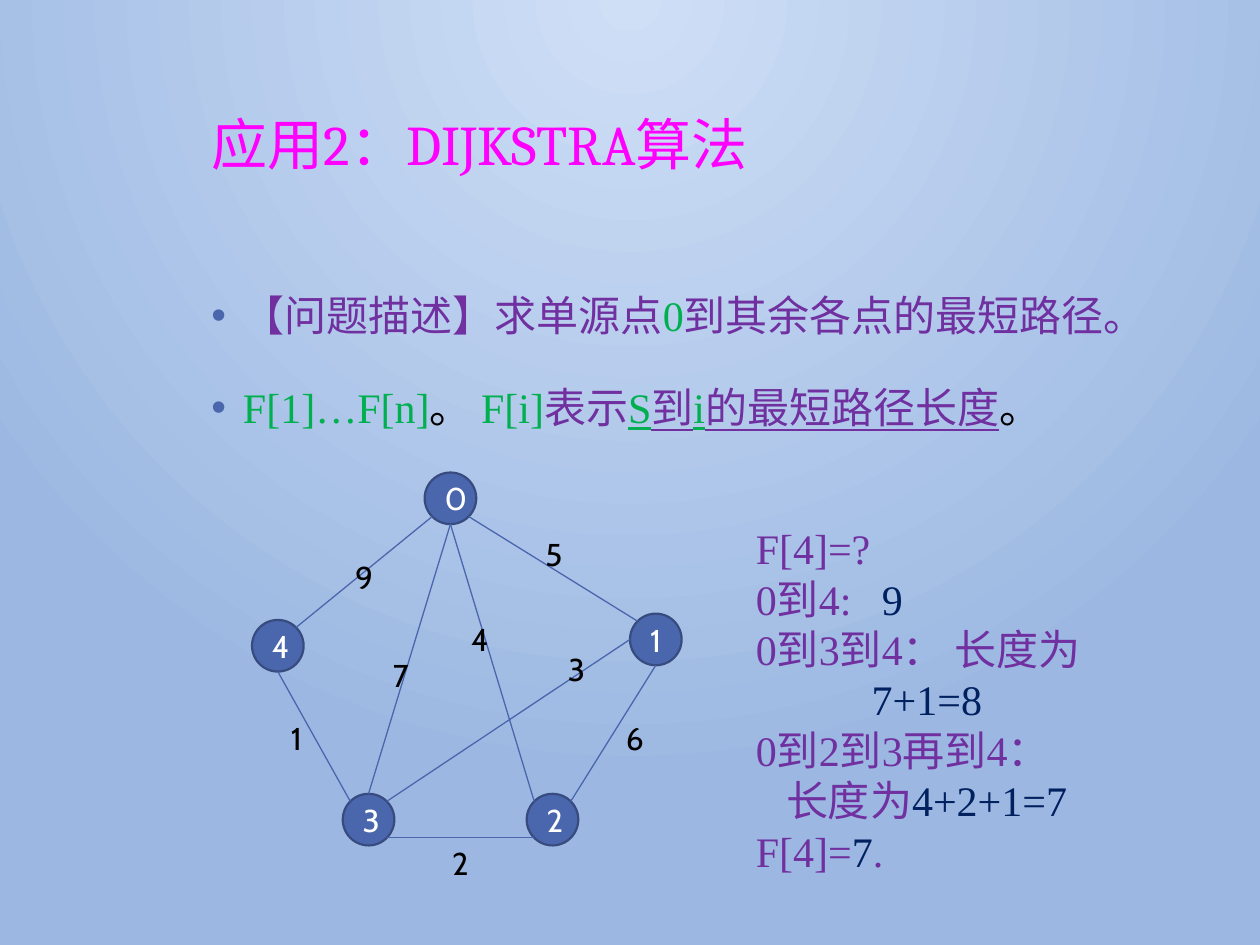
from math import cos, radians, sin

from lxml import etree
from pptx import Presentation
from pptx.dml.color import RGBColor
from pptx.enum.shapes import MSO_CONNECTOR, MSO_SHAPE
from pptx.enum.text import MSO_ANCHOR, PP_ALIGN
from pptx.oxml import parse_xml
from pptx.oxml.ns import nsdecls, qn
from pptx.util import Inches, Pt

STRAIGHT = MSO_CONNECTOR.STRAIGHT
OVAL = MSO_SHAPE.OVAL
MIDDLE = MSO_ANCHOR.MIDDLE
CENTER = PP_ALIGN.CENTER

BLUE = RGBColor(0x4A, 0x66, 0xAC)
OUTLINE = RGBColor(0x37, 0x4B, 0x7F)
PALE = RGBColor(0xCF, 0xDF, 0xF6)
SKY = RGBColor(0x9C, 0xB8, 0xE2)
MAGENTA = RGBColor(0xFF, 0x00, 0xFF)
PURPLE = RGBColor(0x70, 0x30, 0xA0)
GREEN = RGBColor(0x00, 0xB0, 0x50)
NAVY = RGBColor(0x00, 0x20, 0x60)
BLACK = RGBColor(0x00, 0x00, 0x00)
WHITE = RGBColor(0xFF, 0xFF, 0xFF)

HEAD, BODY, LABEL = "Cambria", "Times New Roman", "Cabin"
WIDTH, HEIGHT = Inches(10), Inches(7.5)
COLS = 100
RADIUS = 2.05
TOP, TOP_LEFT, LEFT, LOW_LEFT, BOTTOM, LOW_RIGHT, RIGHT, TOP_RIGHT = range(8)

BULLETS = [
    (10, [("【问题描述】求单源点", PURPLE, False), ("0", GREEN, False),
          ("到其余各点的最短路径。", PURPLE, False)]),
    (18, [("F[1]…F[n]", GREEN, False), ("。 ", BLACK, False),
          ("F[i]", GREEN, False), ("表示", PURPLE, False),
          ("S", GREEN, True), ("到", PURPLE, True), ("i", GREEN, True),
          ("的最短路径长度", PURPLE, True), ("。", BLACK, False)]),
]
STEPS = [
    (0, [("F[4]=?", PURPLE)]),
    (0, [("0到4:\t", PURPLE), ("9", NAVY)]),
    (0, [("0到3到4： 长度为", PURPLE)]),
    (0.92, [("7+1=8", NAVY)]),
    (0, [("0到2到3再到4：", PURPLE)]),
    (0.24, [("长度为", PURPLE), ("4+2+1=7", NAVY)]),
    (0, [("F[4]=", PURPLE), ("7", NAVY), (".", PURPLE)]),
]
NODES = {"0": (13.7, 0), "4": (0, 11.7), "3": (7.2, 25.5),
         "2": (21.8, 25.5), "1": (30, 11.2)}
EDGES = [
    ("0", LOW_LEFT, "4", TOP_RIGHT, "9", (7.2, 6.3)),
    ("3", TOP_LEFT, "4", BOTTOM, "1", (2.1, 19.1)),
    ("1", TOP_LEFT, "0", LOW_RIGHT, "5", (22.3, 4.5)),
    ("2", LOW_LEFT, "3", LOW_RIGHT, "2", (14.9, 29)),
    ("1", BOTTOM, "2", TOP_RIGHT, "6", (28.7, 19.1)),
    ("2", TOP_LEFT, "0", BOTTOM, "4", (16.4, 11.2)),
    ("3", TOP, "0", BOTTOM, "7", (10.2, 14.1)),
    ("1", LEFT, "3", TOP_RIGHT, "3", (24.1, 13.6)),
]


def grid(*cells):
    """Turn counts of square grid cells into slide lengths."""
    return [round(c * WIDTH / COLS) for c in cells]


def add_run(p, text, font, size, color, underline=False):
    """Append one formatted run to a paragraph."""
    r = p.add_run()
    r.text = text
    r.font.name, r.font.size = font, Pt(size)
    r.font.color.rgb = color
    if underline:
        r.font.underline = True


def add_text(s, box, wrap=True):
    """Add a text box in grid cells and return its text frame."""
    tf = s.shapes.add_textbox(*grid(*box)).text_frame
    tf.word_wrap = wrap
    return tf


def paragraphs(tf, items):
    """Yield a paragraph of the frame with each item."""
    for i, item in enumerate(items):
        yield (tf.add_paragraph() if i else tf.paragraphs[0]), item


def indent(p, left, first=0):
    """Set the left margin and first-line indent in inches."""
    pPr = p._p.get_or_add_pPr()
    pPr.set("marL", str(Inches(left)))
    pPr.set("indent", str(Inches(first)))
    return pPr


def paint_background(s):
    """Fill the background with a glow from the top centre."""
    fill = s.background.fill
    fill.gradient()
    for stop, color in zip(fill.gradient_stops, (PALE, SKY)):
        stop.color.rgb = color
    grad = s._element.find(".//" + qn("a:gradFill"))
    grad.replace(grad.find(qn("a:lin")), parse_xml(
        f'<a:path {nsdecls("a")} path="circle"><a:fillToRect '
        'l="43000" t="0" r="43000" b="100000"/></a:path>'))


def add_title(s, box):
    """Write the slide title."""
    p = add_text(s, box).paragraphs[0]
    p.line_spacing = 0.9
    add_run(p, "应用2：DIJKSTRA算法", HEAD, 32, MAGENTA)


def add_bullets(s, box):
    """Write the bulleted problem statement."""
    for p, (before, runs) in paragraphs(add_text(s, box), BULLETS):
        p.line_spacing, p.space_before = 1.2, Pt(before)
        pPr = indent(p, 0.25, -0.25)
        clr = etree.SubElement(pPr, qn("a:buClr"))
        etree.SubElement(clr, qn("a:srgbClr"), val=str(BLUE))
        etree.SubElement(pPr, qn("a:buFont"), typeface="Arial")
        etree.SubElement(pPr, qn("a:buChar"), char="•")
        for text, color, underline in runs:
            add_run(p, text, BODY, 24, color, underline)


def add_node(s, name, x, y):
    """Draw one numbered graph node."""
    sp = s.shapes.add_shape(OVAL, *grid(x, y, 2 * RADIUS, 2 * RADIUS))
    sp.shadow.inherit = False
    sp.fill.solid()
    sp.fill.fore_color.rgb = BLUE
    sp.line.color.rgb, sp.line.width = OUTLINE, Pt(1.25)
    tf = sp.text_frame
    tf.vertical_anchor = MIDDLE
    tf.paragraphs[0].alignment = CENTER
    add_run(tf.paragraphs[0], name, LABEL, 18, WHITE)


def rim(x, y, site):
    """Return the point of a node's rim at one of its eight sites."""
    a = radians(90 + 45 * site)
    return x + RADIUS * (1 + cos(a)), y + RADIUS * (1 - sin(a))


def add_graph(s, box):
    """Draw the weighted graph inside its box."""
    left, top = box[:2]
    spots = {n: (left + x, top + y) for n, (x, y) in NODES.items()}
    for name, spot in spots.items():
        add_node(s, name, *spot)
    for a, a_site, b, b_site, weight, (x, y) in EDGES:
        ends = rim(*spots[a], a_site) + rim(*spots[b], b_site)
        line = s.shapes.add_connector(STRAIGHT, *grid(*ends))
        line.line.color.rgb, line.line.width = BLUE, Pt(0.75)
        etree.SubElement(line._element.spPr, qn("a:effectLst"))
        tf = add_text(s, (left + x, top + y, 3.3, 4), wrap=False)
        add_run(tf.paragraphs[0], weight, LABEL, 18, BLACK)


def add_steps(s, box):
    """Write the worked comparison of path lengths."""
    for p, (left, runs) in paragraphs(add_text(s, box), STEPS):
        tabs = etree.SubElement(indent(p, left), qn("a:tabLst"))
        etree.SubElement(tabs, qn("a:tab"), pos=str(Inches(1.17)), algn="l")
        for text, color in runs:
            add_run(p, text, BODY, 24, color)


def main():
    """Build and save the slide."""
    prs = Presentation()
    prs.slide_width, prs.slide_height = WIDTH, HEIGHT
    s = prs.slides.add_slide(prs.slide_layouts[6])
    paint_background(s)
    add_title(s, (15.8, 8.8, 71.9, 11.5))
    add_bullets(s, (15.8, 21.7, 76.2, 14.1))
    add_graph(s, (20, 37.5, 34.1, 33))
    add_steps(s, (59, 41, 34.6, 29.3))
    prs.save("out.pptx")


if __name__ == "__main__":
    main()
